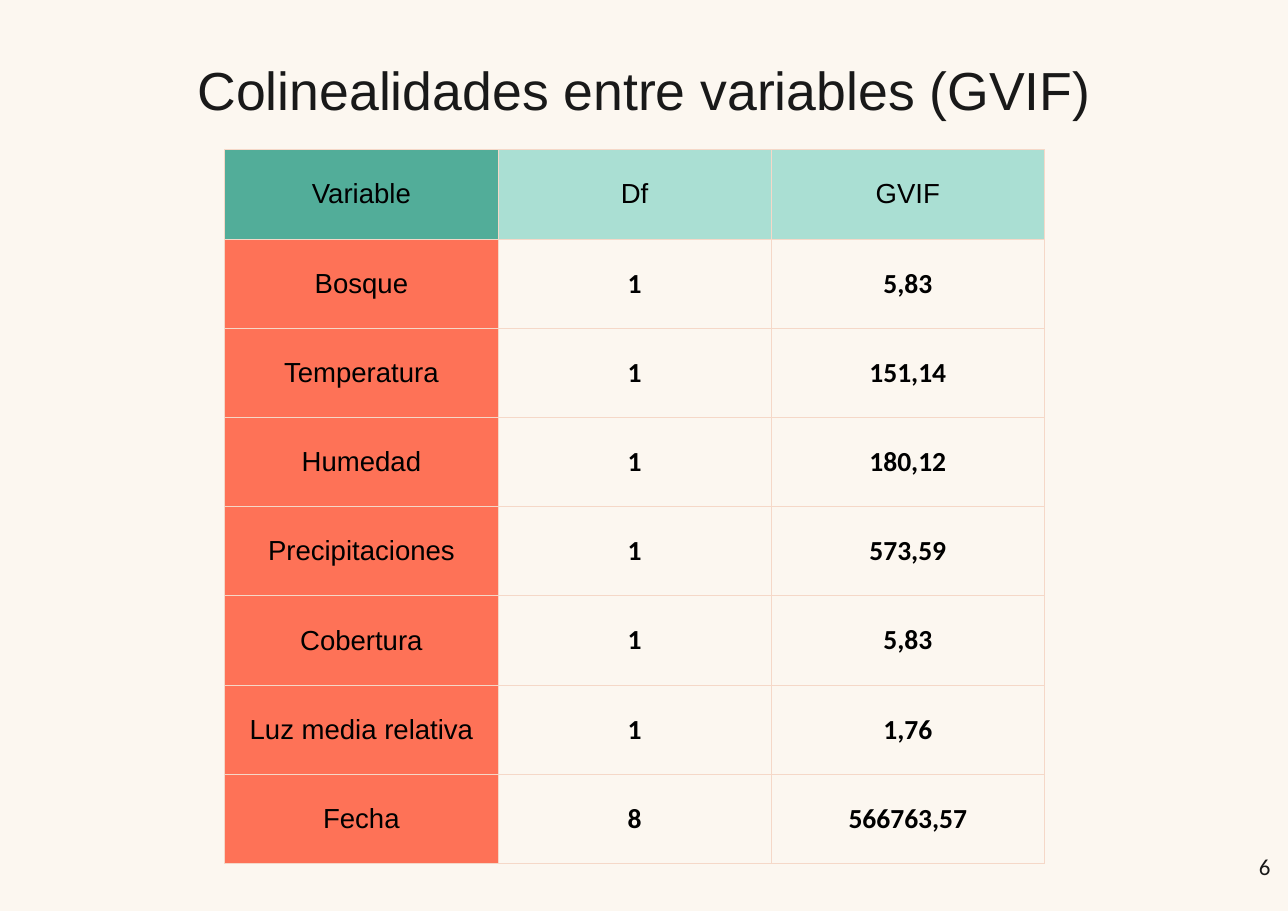
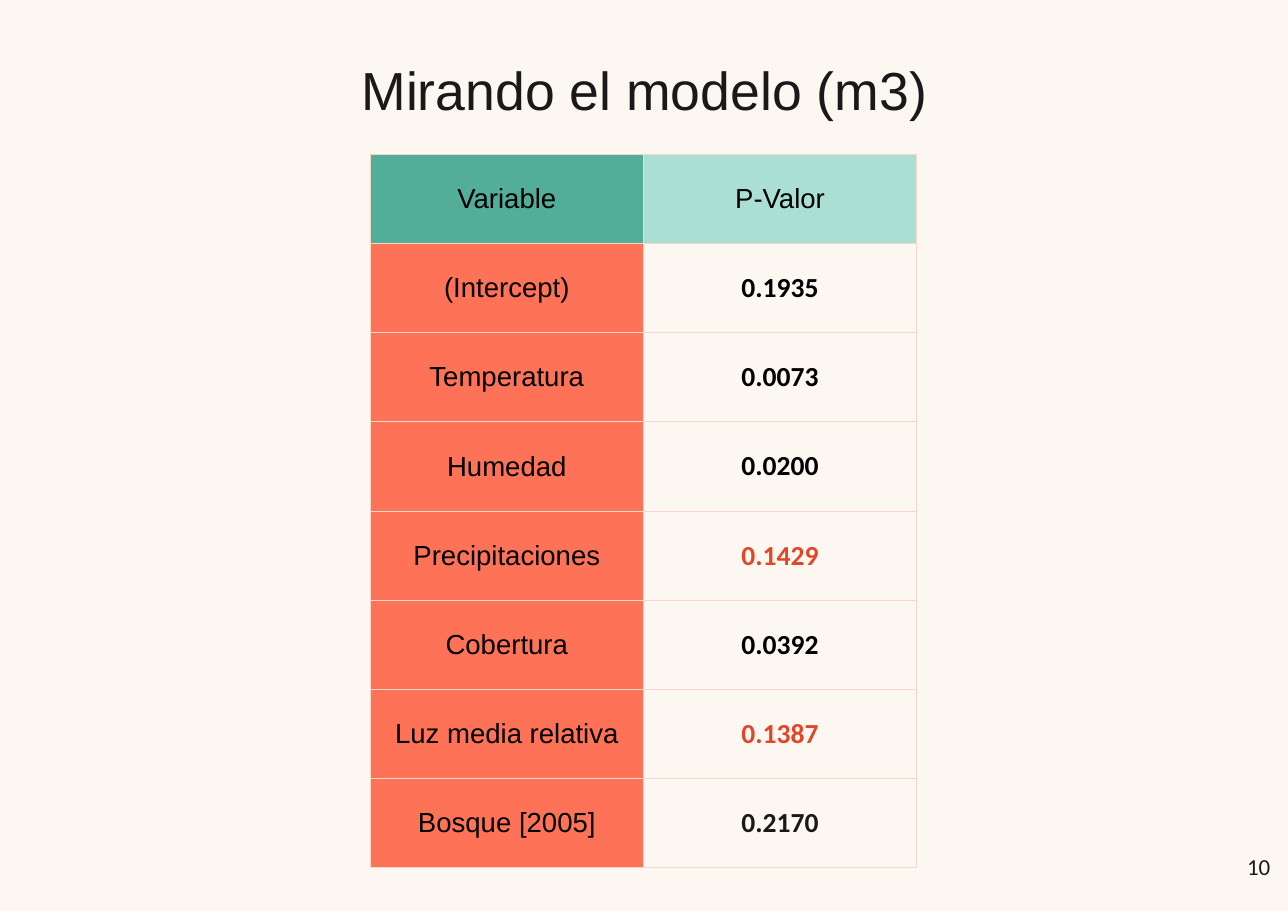
import pptx
import pptx.dml.color
import pptx.enum.text
import pptx.oxml
import pptx.oxml.ns
import pptx.util
import lxml.etree

Inches = pptx.util.Inches
Align = pptx.enum.text.PP_ALIGN
Anchor = pptx.enum.text.MSO_ANCHOR

CREAM, INK, BLACK, RED = "FCF7F0", "191919", "000000", "E24628"
GREEN, MINT, CORAL, EDGE = "52AD99", "AADFD3", "FE7257", "F5D8C8"
COL, ROW = 2.48, 0.81

SLIDES = [
    {
        "title": "Colinealidades entre variables (GVIF)",
        "page": "6",
        "at": (2.04, 1.36),
        "rows": [
            ("Variable", "Df", "GVIF"),
            ("Bosque", "1", "5,83"),
            ("Temperatura", "1", "151,14"),
            ("Humedad", "1", "180,12"),
            ("Precipitaciones", "1", "573,59"),
            ("Cobertura", "1", "5,83"),
            ("Luz media relativa", "1", "1,76"),
            ("Fecha", "8", "566763,57"),
        ],
        "inks": {},
    },
    {
        "title": "Mirando el modelo (m3)",
        "page": "10",
        "at": (3.36, 1.4),
        "rows": [
            ("Variable", "P-Valor"),
            ("(Intercept)", "0.1935"),
            ("Temperatura", "0.0073"),
            ("Humedad", "0.0200"),
            ("Precipitaciones", "0.1429"),
            ("Cobertura", "0.0392"),
            ("Luz media relativa", "0.1387"),
            ("Bosque [2005]", "0.2170"),
        ],
        "inks": {"0.1429": RED, "0.1387": RED, "0.2170": INK},
    },
]


def paint(fill, color):
    fill.solid()
    fill.fore_color.rgb = pptx.dml.color.RGBColor.from_string(color)


def write(frame, text, size, face, color, align=Align.CENTER, bold=False):
    frame.text = text
    para = frame.paragraphs[0]
    para.alignment = align
    font = para.font
    font.size, font.name, font.bold = pptx.util.Pt(size), face, bold
    paint(font.fill, color)


def inset(item, size):
    item.margin_left = item.margin_right = Inches(size)
    item.margin_top = item.margin_bottom = Inches(size)


def border(cell):
    props = cell._tc.get_or_add_tcPr()
    for spot, side in enumerate(("lnL", "lnR", "lnT", "lnB")):
        line = pptx.oxml.parse_xml(
            f'<a:{side} {pptx.oxml.ns.nsdecls("a")} w="{pptx.util.Pt(0.75)}">'
            f'<a:solidFill><a:srgbClr val="{EDGE}"/></a:solidFill></a:{side}>'
        )
        props.insert(spot, line)


def add_grid(slide, at, rows, inks):
    count, width = len(rows), len(rows[0])
    left, top = map(Inches, at)
    table = slide.shapes.add_table(
        count, width, left, top, Inches(COL * width), Inches(ROW * count)
    ).table
    table.first_row = table.horz_banding = False
    for col in table.columns:
        col.width = Inches(COL)
    for r, row in enumerate(rows):
        table.rows[r].height = Inches(ROW)
        for c, text in enumerate(row):
            cell = table.cell(r, c)
            value = r > 0 and c > 0
            head = MINT if c else GREEN
            body = CREAM if c else CORAL
            face = "Calibri" if value else "Arial"
            write(cell.text_frame, text, 18, face, inks.get(text, BLACK), bold=value)
            inset(cell, 0.1)
            cell.vertical_anchor = Anchor.MIDDLE
            paint(cell.fill, body if r else head)
            border(cell)


def add_title(slide, text):
    title = slide.shapes.title
    title.left, title.top = Inches(0.88), Inches(0.35)
    title.width, title.height = Inches(9.94), Inches(0.92)
    paint(title.fill, CREAM)
    frame = title.text_frame
    write(frame, text, 35, "Arial", INK)
    inset(frame, 0.1)
    frame.vertical_anchor = Anchor.MIDDLE


def add_page(slide, text):
    box = slide.shapes.add_textbox(
        Inches(10.94), Inches(7.63), Inches(0.7), Inches(0.63)
    )
    frame = box.text_frame
    frame.word_wrap = True
    inset(frame, 0.11)
    write(frame, text, 15, "Calibri", INK, Align.RIGHT)


def main():
    deck = pptx.Presentation()
    deck.slide_width, deck.slide_height = Inches(11.69), Inches(8.27)
    paint(deck.slide_master.background.fill, CREAM)
    for data in SLIDES:
        slide = deck.slides.add_slide(deck.slide_layouts[5])
        add_title(slide, data["title"])
        add_grid(slide, data["at"], data["rows"], data["inks"])
        add_page(slide, data["page"])
    deck.save("out.pptx")


if __name__ == "__main__":
    main()
